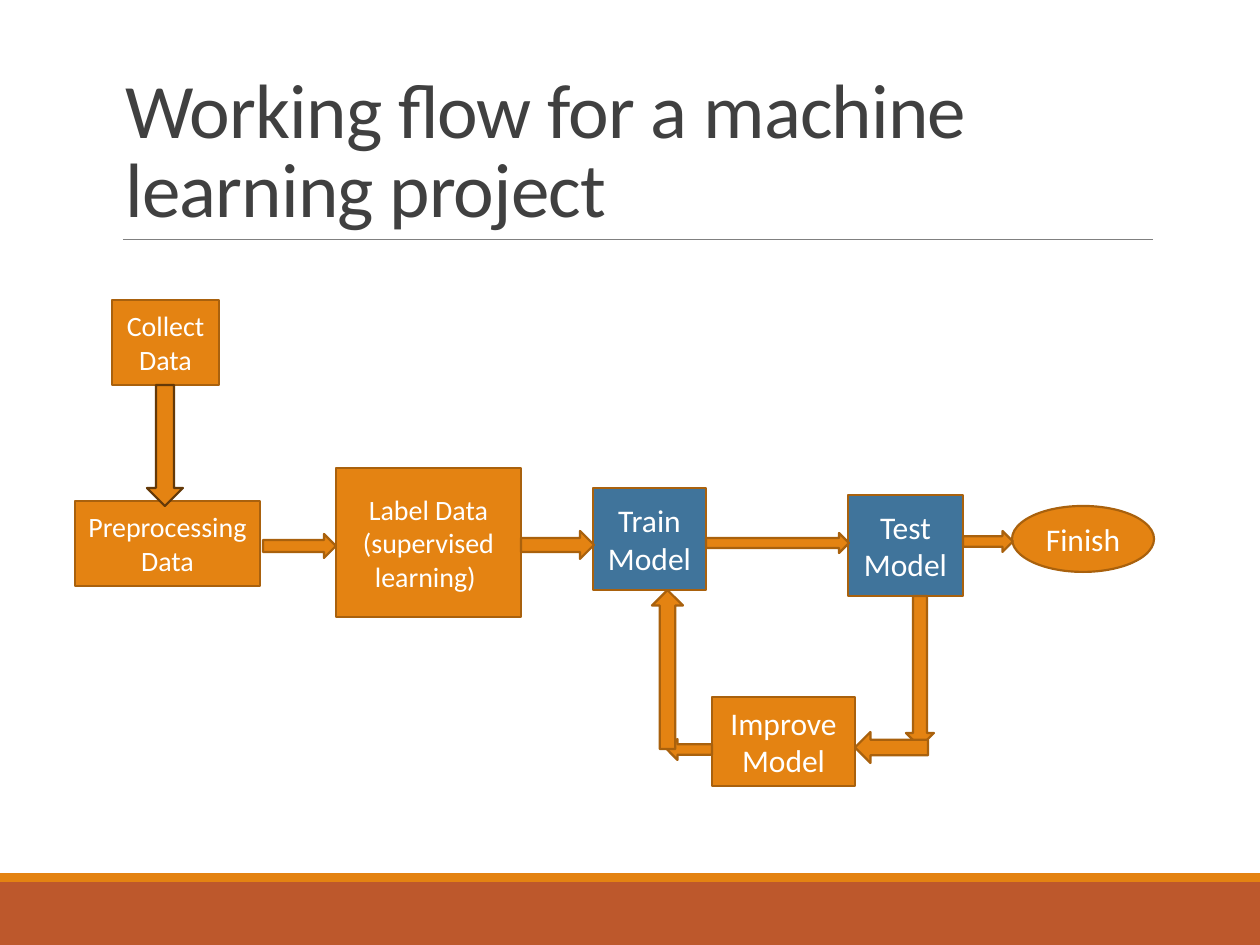
from pptx import Presentation
from pptx.dml.color import RGBColor
from pptx.enum.shapes import MSO_CONNECTOR, MSO_SHAPE
from pptx.enum.text import MSO_ANCHOR, PP_ALIGN
from pptx.oxml.ns import qn
from pptx.util import Emu, Pt
from lxml import etree

RECTANGLE, ELLIPSE = MSO_SHAPE.RECTANGLE, MSO_SHAPE.OVAL
RIGHT, LEFT = MSO_SHAPE.RIGHT_ARROW, MSO_SHAPE.LEFT_ARROW
UP, DOWN = MSO_SHAPE.UP_ARROW, MSO_SHAPE.DOWN_ARROW

FONT = "Calibri"
EMU_PER_PX = 914400 / 126
WIDTH, HEIGHT = 1260, 945
COLORS = {
    "orange": "E48312", "rust": "BD582C", "blue": "40749B", "outline": "A9610D",
    "dark outline": "643908", "rule": "808080", "title": "404040", "white": "FFFFFF",
}

TITLE = "Working flow for a machine learning project"
TITLE_BOX = (113, 39, 1040, 200)
RULE = (123, 239, 1153, 239)
# left, top, width, height, fill
FOOTER_BANDS = [
    (0, 882, WIDTH, 63, "rust"),
    (0, 873, WIDTH, 9, "orange"),
]
# text, shape, left, top, width, height, fill, font size
STEPS = [
    ("Collect Data", RECTANGLE, 112, 300, 107, 85, "orange", 16),
    ("Preprocessing Data", RECTANGLE, 75, 501, 185, 85, "orange", 16),
    ("Label Data (supervised learning) ", RECTANGLE, 336, 468, 185, 149, "orange", 16),
    ("Train Model", RECTANGLE, 593, 488, 113, 102, "blue", 18),
    ("Test Model", RECTANGLE, 848, 495, 115, 101, "blue", 18),
    ("Improve Model", RECTANGLE, 712, 697, 143, 89, "orange", 18),
    ("Finish", ELLIPSE, 1012, 506, 142, 66, "orange", 18),
]
# shape, left, top, width, height, outline
ARROWS = [
    (RIGHT, 263, 534, 73, 24, "outline"),
    (RIGHT, 521, 531, 73, 28, "outline"),
    (RIGHT, 706, 533, 143, 20, "outline"),
    (DOWN, 906, 596, 28, 151, "outline"),
    (LEFT, 855, 732, 73, 31, "outline"),
    (LEFT, 667, 739, 45, 21, "outline"),
    (UP, 652, 590, 31, 159, "outline"),
    (RIGHT, 963, 531, 50, 21, "outline"),
    (DOWN, 147, 385, 36, 121, "dark outline"),
]


def px(*lengths):
    return [Emu(round(length * EMU_PER_PX)) for length in lengths]


def color(name):
    return RGBColor.from_string(COLORS[name])


def add_filled_shape(slide, kind, box, fill, outline=None):
    shape = slide.shapes.add_shape(kind, *px(*box))
    shape.shadow.inherit = False
    shape.fill.solid()
    shape.fill.fore_color.rgb = color(fill)
    if outline:
        shape.line.color.rgb = color(outline)
        shape.line.width = Pt(1.25)
    else:
        shape.line.fill.background()
    return shape


def write_text(shape, text, size, font_color, anchor, alignment):
    frame = shape.text_frame
    frame.word_wrap = True
    frame.vertical_anchor = anchor
    paragraph = frame.paragraphs[0]
    paragraph.text = text
    paragraph.alignment = alignment
    paragraph.font.name = FONT
    paragraph.font.size = Pt(size)
    paragraph.font.color.rgb = color(font_color)
    return paragraph


def add_title(slide):
    title = slide.shapes.add_textbox(*px(*TITLE_BOX))
    paragraph = write_text(title, TITLE, 44, "title", MSO_ANCHOR.BOTTOM, PP_ALIGN.LEFT)
    paragraph.line_spacing = 0.85
    # Tighten the letters by half a point
    paragraph.runs[0].font._element.set("spc", "-50")


def add_rule(slide):
    rule = slide.shapes.add_connector(MSO_CONNECTOR.STRAIGHT, *px(*RULE))
    rule.line.color.rgb = color("rule")
    rule.line.width = Pt(0.5)
    etree.SubElement(rule._element.spPr, qn("a:effectLst"))


def main():
    presentation = Presentation()
    presentation.slide_width, presentation.slide_height = px(WIDTH, HEIGHT)
    slide = presentation.slides.add_slide(presentation.slide_layouts[6])

    for *box, fill in FOOTER_BANDS:
        add_filled_shape(slide, RECTANGLE, box, fill)
    add_rule(slide)
    add_title(slide)
    for text, kind, *box, fill, size in STEPS:
        step = add_filled_shape(slide, kind, box, fill, "outline")
        write_text(step, text, size, "white", MSO_ANCHOR.MIDDLE, PP_ALIGN.CENTER)
    for kind, *box, outline in ARROWS:
        add_filled_shape(slide, kind, box, "orange", outline)

    presentation.save("out.pptx")


if __name__ == "__main__":
    main()
